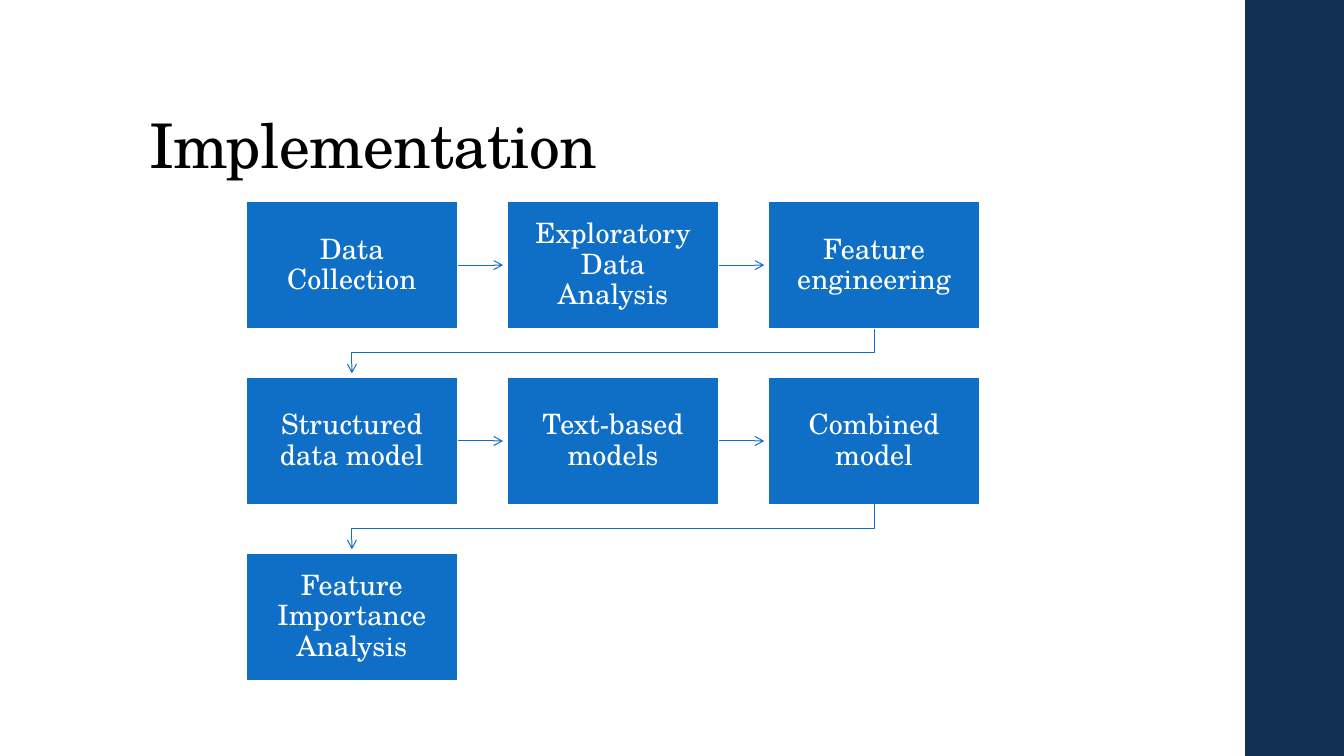
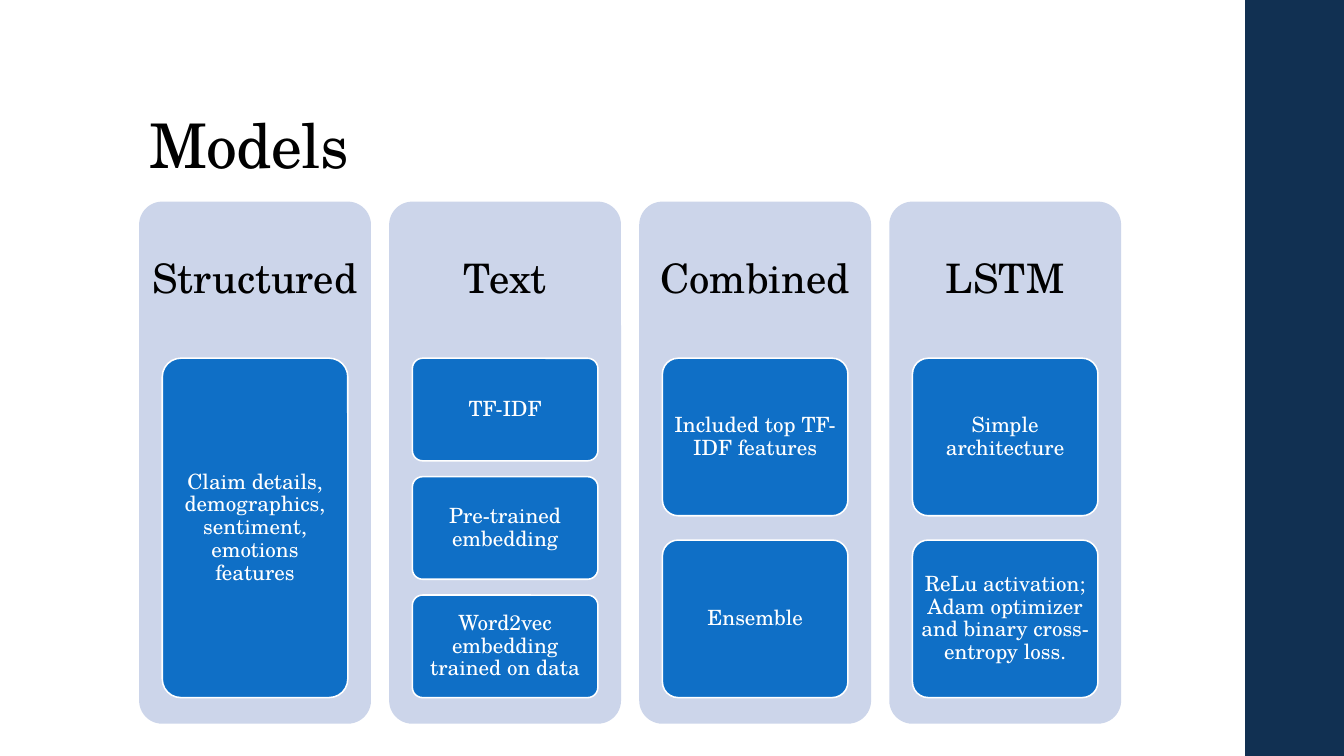
"""Build two slides: an implementation flow and a comparison of models."""
from dataclasses import dataclass
from typing import NamedTuple

import lxml.etree
import pptx
import pptx.dml.color
import pptx.enum.shapes
import pptx.enum.text
import pptx.oxml.ns
import pptx.presentation
import pptx.shapes.autoshape
import pptx.shapes.base
import pptx.slide
import pptx.util

Inches = pptx.util.Inches
Shape = pptx.shapes.autoshape.Shape
Kind = pptx.enum.shapes.MSO_SHAPE
Anchor = pptx.enum.text.MSO_ANCHOR
Align = pptx.enum.text.PP_ALIGN


@dataclass(frozen=True)
class Theme:
    width: float = 13.33
    height: float = 7.5
    band_left: float = 12.35
    font: str = "TeX Gyre Schola"
    ink: str = "000000"
    paper: str = "FFFFFF"
    navy: str = "113052"
    blue: str = "0F6FC6"
    pale: str = "CCD5EA"
    title_size: float = 44
    heading_size: float = 29
    step_size: float = 20
    item_size: float = 15
    border: float = 1.1
    arrow: float = 0.75
    corner: float = 0.1


class Box(NamedTuple):
    left: float
    top: float
    width: float
    height: float


@dataclass(frozen=True)
class Grid:
    left: float
    top: float
    width: float
    height: float
    column_pitch: float
    row_pitch: float = 0

    def cell(self, column: int, row: int = 0) -> Box:
        return Box(self.left + column * self.column_pitch,
                   self.top + row * self.row_pitch, self.width, self.height)


class Model(NamedTuple):
    name: str
    items: tuple[str, ...]


THEME = Theme()
TITLE = Box(1.38, 0.4, 10.6, 1.45)
FLOW = Grid(2.44, 2, 2.1, 1.26, 2.59, 1.745)
PANELS = Grid(1.38, 2, 2.3, 5.18, 2.48)
FLOW_COLUMNS = 3
ARROW_GAP = 0.04
HEADING_SHARE = 0.3
ITEMS_SHARE = 0.65
SIDE_SHARE = 0.1
ITEM_GAP_SHARE = 0.154

STEPS = (
    "Data Collection", "Exploratory Data Analysis", "Feature engineering",
    "Structured data model", "Text-based models", "Combined model",
    "Feature Importance Analysis",
)
MODELS = (
    Model("Structured", ("Claim details, demographics, sentiment, emotions features",)),
    Model("Text", ("TF-IDF", "Pre-trained embedding", "Word2vec embedding trained on data")),
    Model("Combined", ("Included top TF-IDF features", "Ensemble")),
    Model("LSTM", ("Simple architecture",
                   "ReLu activation; Adam optimizer and binary cross-entropy loss.")),
)


def rgb(color: str) -> pptx.dml.color.RGBColor:
    return pptx.dml.color.RGBColor.from_string(color)


def write(sp: Shape, text: str, *, size: float, color: str = THEME.paper,
          align: Align = Align.CENTER, anchor: Anchor = Anchor.MIDDLE,
          inset: tuple[float, float] = (0.1, 0.05), tracking: float = 0) -> None:
    tf = sp.text_frame
    tf.word_wrap = True
    tf.vertical_anchor = anchor
    tf.margin_left = tf.margin_right = Inches(inset[0])
    tf.margin_top = tf.margin_bottom = Inches(inset[1])
    p = tf.paragraphs[0]
    p.alignment = align
    p.line_spacing = 0.9
    r = p.add_run()
    r.text = text
    r.font.name = THEME.font
    r.font.size = pptx.util.Pt(size)
    r.font.color.rgb = rgb(color)
    if tracking:
        r.font._element.set("spc", str(round(tracking * 100)))


def add_block(s: pptx.slide.Slide, box: Box, fill: str, *,
              kind: Kind = Kind.RECTANGLE, border: bool = False) -> Shape:
    sp = s.shapes.add_shape(kind, *map(Inches, box))
    sp.shadow.inherit = False
    sp.fill.solid()
    sp.fill.fore_color.rgb = rgb(fill)
    if kind == Kind.ROUNDED_RECTANGLE:
        sp.adjustments[0] = THEME.corner
    if border:
        sp.line.color.rgb = rgb(THEME.paper)
        sp.line.width = pptx.util.Pt(THEME.border)
    else:
        sp.line.fill.background()
    return sp


def add_label(s: pptx.slide.Slide, box: Box) -> Shape:
    return s.shapes.add_textbox(*map(Inches, box))


def style_arrow(sp: pptx.shapes.base.BaseShape) -> None:
    qn = pptx.oxml.ns.qn
    sp.line.color.rgb = rgb(THEME.blue)
    sp.line.width = pptx.util.Pt(THEME.arrow)
    properties = sp.element.spPr
    lxml.etree.SubElement(properties.find(qn("a:ln")), qn("a:tailEnd"), type="arrow")
    lxml.etree.SubElement(properties, qn("a:effectLst"))


def add_step_arrow(s: pptx.slide.Slide, source: Shape, start: Box, end: Box) -> None:
    y = Inches(start.top + start.height / 2)
    sp = s.shapes.add_connector(
        pptx.enum.shapes.MSO_CONNECTOR.STRAIGHT,
        Inches(start.left + start.width), y, Inches(end.left - ARROW_GAP), y)
    sp.begin_connect(source, 3)
    style_arrow(sp)


def add_return_arrow(s: pptx.slide.Slide, start: Box, end: Box) -> None:
    x1, x2 = start.left + start.width / 2, end.left + end.width / 2
    y1, y2 = start.top + start.height, end.top
    middle = (y1 + y2) / 2
    builder = s.shapes.build_freeform(Inches(x1), Inches(y1))
    corners = ((x1, middle), (x2, middle), (x2, y2 - ARROW_GAP))
    builder.add_line_segments([(Inches(x), Inches(y)) for x, y in corners], close=False)
    sp = builder.convert_to_shape()
    sp.fill.background()
    style_arrow(sp)


def new_slide(prs: pptx.presentation.Presentation, title: str) -> pptx.slide.Slide:
    s = prs.slides.add_slide(prs.slide_layouts[6])
    band = Box(THEME.band_left, 0, THEME.width - THEME.band_left, THEME.height)
    add_block(s, band, THEME.navy)
    write(add_label(s, TITLE), title, size=THEME.title_size, color=THEME.ink,
          align=Align.LEFT, anchor=Anchor.BOTTOM, tracking=-0.5)
    return s


def draw_flow(s: pptx.slide.Slide) -> None:
    cells = [FLOW.cell(i % FLOW_COLUMNS, i // FLOW_COLUMNS) for i in range(len(STEPS))]
    blocks = [add_block(s, cell, THEME.blue, border=True) for cell in cells]
    for sp, step in zip(blocks, STEPS):
        write(sp, step, size=THEME.step_size, inset=(0.16, 0.16))
    for source, start, end in zip(blocks, cells, cells[1:]):
        if start.top == end.top:
            add_step_arrow(s, source, start, end)
        else:
            add_return_arrow(s, start, end)


def draw_model(s: pptx.slide.Slide, model: Model, panel: Box) -> None:
    add_block(s, panel, THEME.pale, kind=Kind.ROUNDED_RECTANGLE)
    heading = panel._replace(height=panel.height * HEADING_SHARE)
    write(add_label(s, heading), model.name, size=THEME.heading_size,
          color=THEME.ink, inset=(0.12, 0.12))
    count = len(model.items)
    height = panel.height * ITEMS_SHARE / (count + ITEM_GAP_SHARE * (count - 1))
    side = panel.width * SIDE_SHARE
    items = Grid(panel.left + side, panel.top + heading.height, panel.width - 2 * side,
                 height, 0, height * (1 + ITEM_GAP_SHARE))
    for row, item in enumerate(model.items):
        sp = add_block(s, items.cell(0, row), THEME.blue,
                       kind=Kind.ROUNDED_RECTANGLE, border=True)
        write(sp, item, size=THEME.item_size, inset=(0.04, 0.03))


def main() -> None:
    prs = pptx.Presentation()
    prs.slide_width = Inches(THEME.width)
    prs.slide_height = Inches(THEME.height)
    draw_flow(new_slide(prs, "Implementation"))
    s = new_slide(prs, "Models")
    for column, model in enumerate(MODELS):
        draw_model(s, model, PANELS.cell(column))
    prs.save("out.pptx")


if __name__ == "__main__":
    main()
